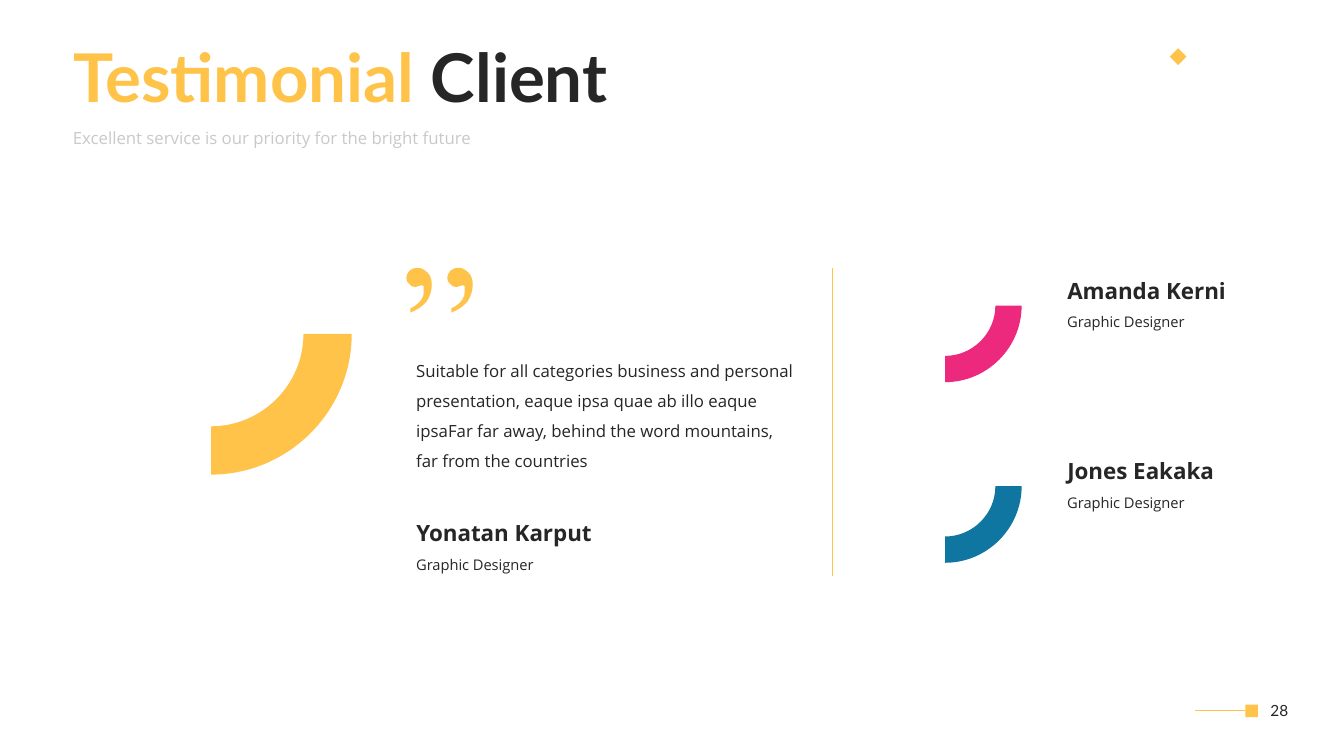
from lxml.etree import SubElement
from pptx import Presentation
from pptx.dml.color import RGBColor
from pptx.enum.shapes import MSO_CONNECTOR as LINK, MSO_SHAPE as SHAPE
from pptx.enum.text import MSO_ANCHOR as ANCHOR, MSO_AUTO_SIZE as AUTO, PP_ALIGN as ALIGN
from pptx.oxml.ns import qn
from pptx.util import Pt

PX = 9525
GOLD = RGBColor(0xFF, 0xC3, 0x4A)
PINK = RGBColor(0xEC, 0x29, 0x7C)
BLUE = RGBColor(0x0F, 0x76, 0xA1)
DARK = RGBColor(0x26, 0x26, 0x26)
GREY = RGBColor(0xC9, 0xC9, 0xC9)
HEAD, BODY = "Lato", "Open Sans"

QUOTE = [
    (4, 44),
    (4, 40), (4, 40), (4, 40),
    (10, 37), (13, 34), (15, 31),
    (17, 29), (17, 26), (17, 22),
    (17, 21), (17, 20), (17, 18),
    (16, 18), (16, 17), (15, 17),
    (15, 17), (13, 18), (12, 18),
    (11, 18), (10, 19), (9, 19),
    (6, 19), (4, 18), (3, 16),
    (1, 15), (0, 12), (0, 10),
    (0, 8), (1, 5), (3, 3),
    (5, 1), (8, 0), (11, 0),
    (15, 0), (18, 2), (21, 5),
    (24, 8), (25, 12), (25, 17),
    (25, 23), (23, 28), (20, 33),
    (16, 38), (11, 41), (4, 44),
]


def px(*sizes):
    return [round(size * PX) for size in sizes]


def write(frame, runs, size=12, font=BODY, bold=False, align=ALIGN.LEFT,
          anchor=ANCHOR.TOP, line=1.0, before=0):
    frame.word_wrap = True
    frame.auto_size = AUTO.NONE
    frame.vertical_anchor = anchor
    para = frame.paragraphs[0]
    para.alignment = align
    para.line_spacing = line
    para.space_before = Pt(before)
    for words, color in runs:
        run = para.add_run()
        run.text = words
        run.font.name = font
        run.font.size = Pt(size)
        run.font.bold = bold
        run.font.color.rgb = color


def label(slide, box, words, color=DARK, **style):
    area = slide.shapes.add_textbox(*px(*box))
    write(area.text_frame, [(words, color)], **style)


def paint(shape, color):
    shape.shadow.inherit = False
    shape.fill.solid()
    shape.fill.fore_color.rgb = color
    shape.line.fill.background()
    return shape


def rule(slide, ends):
    line = slide.shapes.add_connector(LINK.STRAIGHT, *px(*ends))
    line.line.fill.solid()
    line.line.fill.fore_color.rgb = GOLD
    line.line.width = Pt(0.5)
    SubElement(line._element.spPr, qn("a:effectLst"))
    line._element.remove(line._element.find(qn("p:style")))
    return line


def curve(shape):
    trail = next(shape._element.iter(qn("a:path")))
    steps = trail.findall(qn("a:lnTo"))
    for first, *rest in zip(steps[::3], steps[1::3], steps[2::3]):
        bend = trail.makeelement(qn("a:cubicBezTo"))
        first.addprevious(bend)
        for step in (first, *rest):
            bend.append(step[0])
            trail.remove(step)


def outline(slide, loops, color):
    pen = None
    for loop in loops:
        spots = [px(*spot) for spot in loop]
        if pen is None:
            pen = slide.shapes.build_freeform(*spots[0], scale=1.0)
        else:
            pen.move_to(*spots[0])
        pen.add_line_segments(spots[1:], close=True)
    shape = paint(pen.convert_to_shape(), color)
    curve(shape)


def arc(slide, left, top, outer, inner, color):
    pull, lean = outer * 0.55, inner * 0.55
    ring = [(0, outer), *[(0, inner)] * 3,
            (lean, inner), (inner, lean), (inner, 0), *[(outer, 0)] * 3,
            (outer, pull), (pull, outer), (0, outer)]
    outline(slide, [[(left + x, top + y) for x, y in ring]], color)


def quote(slide, left, top, gap=39, scale=0.97):
    loops = [[(left + shift + x * scale, top + y * scale) for x, y in QUOTE]
             for shift in (0, gap)]
    outline(slide, loops, GOLD)


def header(slide, left, top):
    title = slide.shapes.title
    title.left, title.top, title.width, title.height = px(left, top, 769, 87)
    write(title.text_frame, [("Testimonial", GOLD), (" Client", DARK)], size=48,
          font=HEAD, bold=True, anchor=ANCHOR.MIDDLE, line=0.9, before=10)
    label(slide, (left, top + 86, 463, 23),
          "Excellent service is our priority for the bright future",
          color=GREY, line=0.9, before=10)


def person(slide, left, top, name):
    label(slide, (left, top + 26, 218, 33), "Graphic Designer", size=10.5, line=1.5)
    label(slide, (left, top, 203, 36), name, size=16, bold=True)


def lead(slide, left, top):
    arc(slide, left, top + 63, 134, 88, GOLD)
    quote(slide, left + 186, top)
    label(slide, (left + 186, top + 74, 384, 123),
          "Suitable for all categories business and personal presentation, "
          "eaque ipsa quae ab illo eaque ipsaFar far away, behind the word "
          "mountains, far from the countries", line=1.5)
    person(slide, left + 186, top + 235, "Yonatan Karput")


def peers(slide, left, top, pitch=172):
    team = [("Amanda Kerni", PINK), ("Jones Eakaka", BLUE)]
    for row, (name, color) in enumerate(team):
        high = top + row * pitch
        arc(slide, left, high + 32, 73, 48, color)
        person(slide, left + 107, high, name)


def footer(slide, left, top):
    block = paint(slide.shapes.add_shape(SHAPE.RECTANGLE, *px(left + 48, top, 12, 12)), GOLD)
    line = rule(slide, (left, top + 6, left + 48, top + 6))
    line.end_connect(block, 1)
    label(slide, (left + 51, top - 14, 59, 39), "28", size=11, font=HEAD,
          align=ALIGN.CENTER, anchor=ANCHOR.MIDDLE)


def main():
    deck = Presentation()
    deck.slide_width, deck.slide_height = px(1280, 720)
    slide = deck.slides.add_slide(deck.slide_layouts[5])
    header(slide, 60, 33)
    paint(slide.shapes.add_shape(SHAPE.DIAMOND, *px(1114, 46, 16, 16)), GOLD)
    lead(slide, 201, 255)
    rule(slide, (793, 255, 793, 549))
    peers(slide, 900, 259)
    footer(slide, 1138, 671)
    deck.save("out.pptx")


if __name__ == "__main__":
    main()
